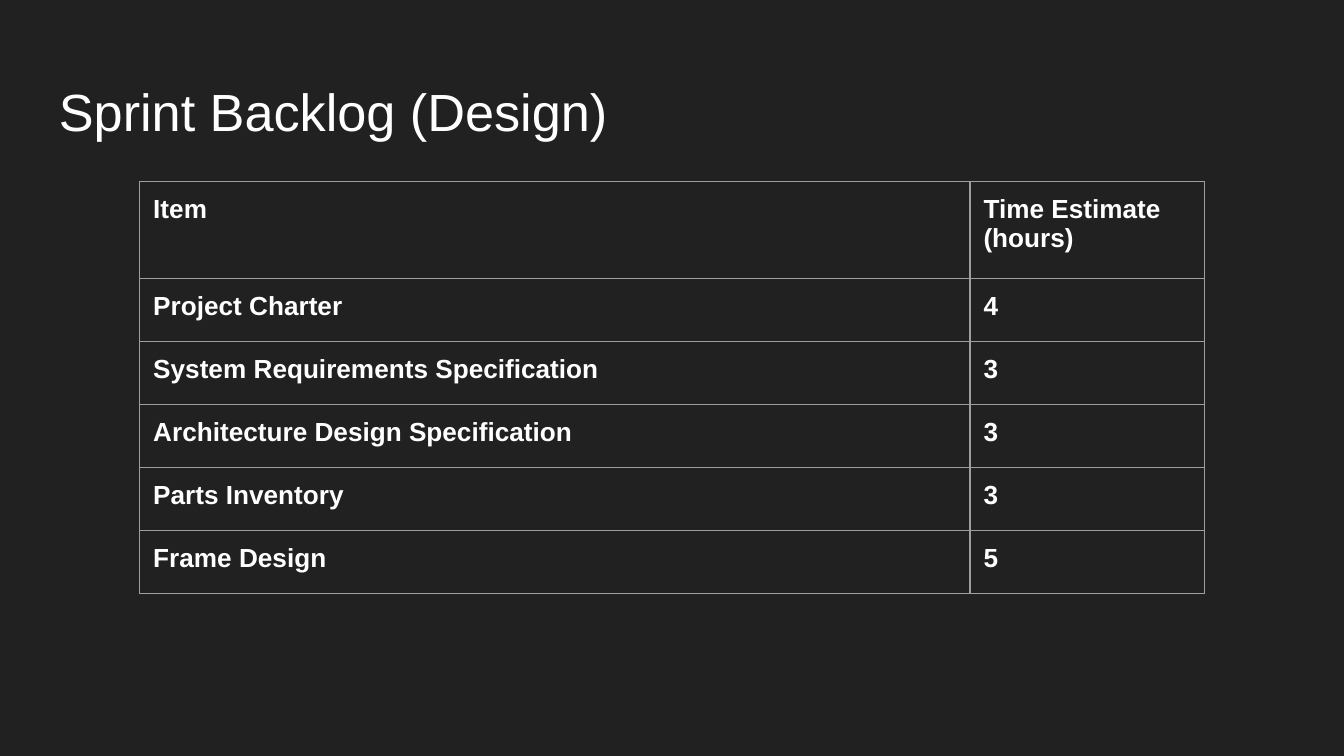
from lxml import etree
from pptx import Presentation
from pptx.dml.color import RGBColor
from pptx.enum.text import MSO_ANCHOR
from pptx.oxml.ns import qn
from pptx.util import Inches, Pt

TOP = MSO_ANCHOR.TOP
DARK = RGBColor(0x21, 0x21, 0x21)
WHITE = RGBColor(0xFF, 0xFF, 0xFF)
GREY = RGBColor(0x9E, 0x9E, 0x9E)
FONT = "Arial"
INSET = Inches(0.1)
BLANK = 6

BACKLOG = [
    ("Item", "Time Estimate (hours)"),
    ("Project Charter", "4"),
    ("System Requirements Specification", "3"),
    ("Architecture Design Specification", "3"),
    ("Parts Inventory", "3"),
    ("Frame Design", "5"),
]


def set_text(tf, frame, text, size, bold=False):
    tf.text = text
    tf.word_wrap = True
    frame.margin_left = frame.margin_right = INSET
    frame.margin_top = frame.margin_bottom = INSET
    frame.vertical_anchor = TOP
    font = tf.paragraphs[0].runs[0].font
    font.name, font.size, font.bold = FONT, Pt(size), bold
    font.color.rgb = WHITE


def set_borders(cell, color, width):
    tcPr = cell._tc.get_or_add_tcPr()
    for side in ("lnL", "lnR", "lnT", "lnB"):
        ln = etree.SubElement(tcPr, qn(f"a:{side}"), w=str(Pt(width)))
        fill = etree.SubElement(ln, qn("a:solidFill"))
        etree.SubElement(fill, qn("a:srgbClr"), val=str(color))


def add_title(s, box, text):
    tf = s.shapes.add_textbox(*box).text_frame
    set_text(tf, tf, text, 28)


def add_backlog(s, box, rows, col_shares, header_height):
    left, top, width, height = box
    frame = s.shapes.add_table(len(rows), len(col_shares), left, top, width, height)
    table = frame.table
    table.first_row = table.horz_banding = False
    for col, share in zip(table.columns, col_shares):
        col.width = int(width * share)
    body_height = (height - header_height) // (len(rows) - 1)
    for i, (row, values) in enumerate(zip(table.rows, rows)):
        row.height = body_height if i else header_height
        for cell, value in zip(row.cells, values):
            set_text(cell.text_frame, cell, value, 14, bold=True)
            set_borders(cell, GREY, 0.75)
            cell.fill.background()


def box_of(*lengths):
    return [Inches(n) for n in lengths]


prs = Presentation()
prs.slide_width = Inches(10)
prs.slide_height = prs.slide_width * 9 // 16
s = prs.slides.add_slide(prs.slide_layouts[BLANK])
s.background.fill.solid()
s.background.fill.fore_color.rgb = DARK
add_title(s, box_of(0.34, 0.49, 9.32, 0.63), "Sprint Backlog (Design)")
add_backlog(s, box_of(1.04, 1.35, 7.92, 3.07), BACKLOG, (0.78, 0.22), Inches(0.72))
prs.save("out.pptx")
